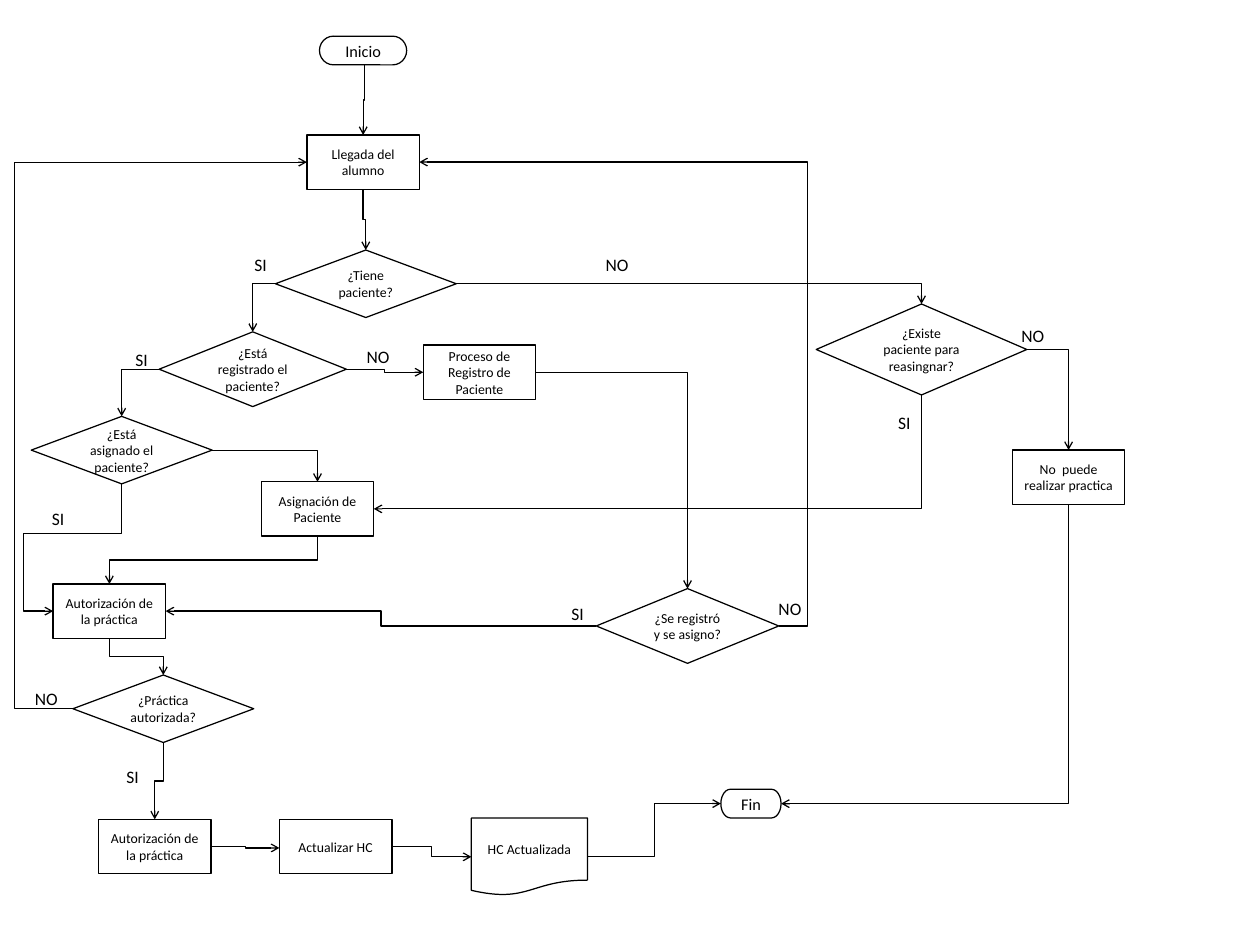
from lxml.etree import SubElement
from pptx import Presentation
from pptx.dml.color import RGBColor
from pptx.enum.shapes import MSO_CONNECTOR, MSO_SHAPE
from pptx.enum.text import MSO_ANCHOR, MSO_AUTO_SIZE, PP_ALIGN
from pptx.oxml.ns import qn
from pptx.util import Pt

COLORS = {"ink": "000000", "paper": "FFFFFF"}
FONT = "Calibri"
TOP, LEFT, BOTTOM, RIGHT = range(4)  # connection sites
PROCESS_SIZE = (90, 43.4)
SMALL_DECISION = (144.7, 54)

# name: (shape type, text, left, top, (width, height))
PROCESS = MSO_SHAPE.FLOWCHART_PROCESS
DECISION = MSO_SHAPE.FLOWCHART_DECISION
TERMINATOR = MSO_SHAPE.FLOWCHART_TERMINATOR
DOCUMENT = MSO_SHAPE.FLOWCHART_DOCUMENT
NODES = {
    "start": (TERMINATOR, "Inicio", 255.6, 28.9, (69.8, 23)),
    "end": (TERMINATOR, "Fin", 576.7, 631.4, (48.2, 23)),
    "arrival": (PROCESS, "Llegada del alumno", 245.5, 108, PROCESS_SIZE),
    "has_patient": (DECISION, "¿Tiene paciente?", 220.3, 200, SMALL_DECISION),
    "reassignable": (DECISION, "¿Existe paciente para reasingnar?", 653, 243.2, (168.5, 72.8)),
    "registered": (DECISION, "¿Está registrado el paciente?", 127.3, 265.5, (149.8, 59.8)),
    "not_possible": (PROCESS, "No  puede realizar practica", 809.9, 360, PROCESS_SIZE),
    "authorization": (PROCESS, "Autorización de la práctica", 42.5, 467.2, PROCESS_SIZE),
    "assigned": (DECISION, "¿Está asignado el paciente?", 25, 333.1, SMALL_DECISION),
    "authorized": (DECISION, "¿Práctica autorizada?", 58.3, 540, SMALL_DECISION),
    "practice": (PROCESS, "Autorización de la práctica", 78.8, 655.5, PROCESS_SIZE),
    "update": (PROCESS, "Actualizar HC", 223.5, 655.5, PROCESS_SIZE),
    "updated": (DOCUMENT, "HC Actualizada", 377.1, 654.5, (92.9, 61.9)),
    "registration": (PROCESS, "Proceso de Registro de Paciente", 338.6, 276.1, PROCESS_SIZE),
    "completed": (DECISION, "¿Se registró y se asigno?", 477, 470.9, (146, 59.8)),
    "assignment": (PROCESS, "Asignación de Paciente", 209, 385.4, PROCESS_SIZE),
}

# (from, site, to, site, options)
FLOWS = [
    ("start", BOTTOM, "arrival", TOP, {"start_shift": (1.2, 0)}),
    ("arrival", BOTTOM, "has_patient", TOP, {}),
    ("has_patient", LEFT, "registered", TOP, {"bends": 2}),
    ("has_patient", RIGHT, "reassignable", TOP, {"bends": 2}),
    ("reassignable", RIGHT, "not_possible", TOP, {"bends": 2}),
    ("not_possible", BOTTOM, "end", RIGHT, {"bends": 2}),
    ("registered", LEFT, "assigned", TOP, {"bends": 2}),
    ("assigned", BOTTOM, "authorization", LEFT, {"bends": 4, "adjust": (0.39, 1.43)}),
    ("authorization", BOTTOM, "authorized", TOP, {}),
    ("authorized", BOTTOM, "practice", TOP, {}),
    ("practice", RIGHT, "update", LEFT, {"end_shift": (0, 1.2)}),
    ("update", RIGHT, "updated", LEFT, {}),
    ("updated", RIGHT, "end", LEFT, {}),
    ("registered", RIGHT, "registration", LEFT, {}),
    ("registration", RIGHT, "completed", TOP, {"bends": 2}),
    ("completed", RIGHT, "arrival", RIGHT, {"adjust": (-0.08,)}),
    ("completed", LEFT, "authorization", RIGHT, {}),
    ("assigned", RIGHT, "assignment", TOP, {"bends": 2}),
    ("assignment", BOTTOM, "authorization", TOP, {}),
    ("reassignable", BOTTOM, "assignment", RIGHT, {"bends": 2}),
    ("authorized", LEFT, "arrival", LEFT, {"adjust": (-0.25,)}),
]

# (text, left, top, width)
ANSWERS = [
    ("SI", 196.4, 200, 36), ("NO", 477.4, 200, 37.6), ("NO", 810, 256.5, 37.6),
    ("SI", 101.3, 275.8, 36), ("SI", 34.4, 403, 36), ("SI", 94, 609.1, 36),
    ("NO", 286.3, 273.2, 37.6), ("NO", 615.7, 474.5, 37.6), ("SI", 450, 478.8, 36),
    ("SI", 711.4, 326.3, 31), ("NO", 20.9, 547, 37.6),
]


def color(name):
    return RGBColor.from_string(COLORS[name])


def write_text(shape, text, size=11, align=PP_ALIGN.CENTER, anchor=MSO_ANCHOR.MIDDLE,
               inset=(9.4, 4.7)):
    frame = shape.text_frame
    frame.word_wrap = True
    frame.vertical_anchor = anchor
    frame.margin_left = frame.margin_right = Pt(inset[0])
    frame.margin_top = frame.margin_bottom = Pt(inset[1])
    paragraph = frame.paragraphs[0]
    paragraph.alignment = align
    run = paragraph.add_run()
    run.text = text
    run.font.size = Pt(size)
    run.font.name = FONT
    run.font.color.rgb = color("ink")


def draw_line(line):
    line.color.rgb = color("ink")
    line.width = Pt(1)


def add_node(slide, kind, text, left, top, size):
    shape = slide.shapes.add_shape(kind, Pt(left), Pt(top), Pt(size[0]), Pt(size[1]))
    shape.shadow.inherit = False
    shape.fill.background()
    draw_line(shape.line)
    write_text(shape, text, size=13 if kind == TERMINATOR else 11)
    return shape


def add_answer(slide, text, left, top, width):
    box = slide.shapes.add_textbox(Pt(left), Pt(top), Pt(width), Pt(24.2))
    write_text(box, text, size=14, align=PP_ALIGN.LEFT, anchor=MSO_ANCHOR.TOP,
               inset=(7.2, 3.6))
    box.text_frame.auto_size = MSO_AUTO_SIZE.SHAPE_TO_FIT_TEXT


def site_point(shape, site, shift):
    across = {LEFT: 0, RIGHT: 1}.get(site, 0.5)
    down = {TOP: 0, BOTTOM: 1}.get(site, 0.5)
    return (int(shape.left + shape.width * across + Pt(shift[0])),
            int(shape.top + shape.height * down + Pt(shift[1])))


def orient(site, run, drop):
    """Rotation and flips that make the connector leave through its site."""
    if site == BOTTOM:
        return (270, True, False) if run > 0 else (90, False, False)
    if site == LEFT:
        return 180, run > 0, drop > 0
    return 0, run < 0, drop < 0


def add_flow(slide, source, source_site, target, target_site, bends=3, adjust=(),
             start_shift=(0, 0), end_shift=(0, 0)):
    start = site_point(source, source_site, start_shift)
    end = site_point(target, target_site, end_shift)
    connector = slide.shapes.add_connector(MSO_CONNECTOR.ELBOW, *start, *end)
    if not any(start_shift):
        connector.begin_connect(source, source_site)
    if not any(end_shift):
        connector.end_connect(target, target_site)

    # Frame, turned about its centre
    run, drop = end[0] - start[0], end[1] - start[1]
    width, height = abs(run), abs(drop)
    if source_site == BOTTOM:
        width, height = height, width
    connector.left = (start[0] + end[0] - width) // 2
    connector.top = (start[1] + end[1] - height) // 2
    connector.width, connector.height = width, height
    properties = connector._element.spPr
    frame = properties.find(qn("a:xfrm"))
    rotation, flip_h, flip_v = orient(source_site, run, drop)
    frame.set("rot", str(rotation * 60000))
    frame.set("flipH", str(int(flip_h)))
    frame.set("flipV", str(int(flip_v)))

    # Bends
    geometry = properties.find(qn("a:prstGeom"))
    geometry.set("prst", f"bentConnector{bends}")
    guides = geometry.find(qn("a:avLst"))
    if guides is None:
        guides = SubElement(geometry, qn("a:avLst"))
    if bends == 3 and not adjust:
        adjust = (0.5,)
    for number, value in enumerate(adjust, 1):
        SubElement(guides, qn("a:gd"), name=f"adj{number}",
                   fmla=f"val {round(value * 100000)}")

    # Line, arrowhead, no shadow
    draw_line(connector.line)
    SubElement(properties.find(qn("a:ln")), qn("a:tailEnd"), type="arrow")
    SubElement(properties, qn("a:effectLst"))


def main():
    presentation = Presentation()
    presentation.slide_width, presentation.slide_height = Pt(1008), Pt(756)
    slide = presentation.slides.add_slide(presentation.slide_layouts[6])
    slide.background.fill.solid()
    slide.background.fill.fore_color.rgb = color("paper")

    nodes = {name: add_node(slide, *node) for name, node in NODES.items()}
    for source, source_site, target, target_site, options in FLOWS:
        add_flow(slide, nodes[source], source_site, nodes[target], target_site, **options)
    for answer in ANSWERS:
        add_answer(slide, *answer)

    presentation.save("out.pptx")


main()
